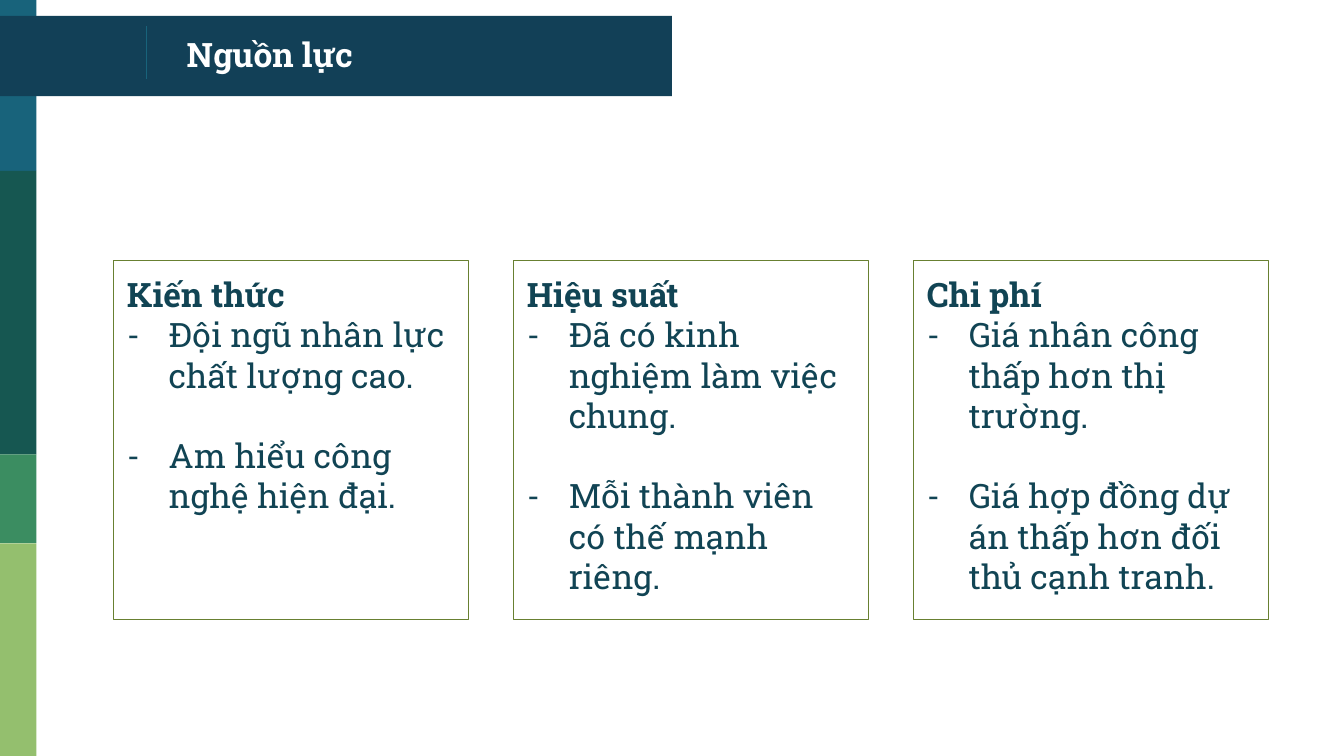
from pptx import Presentation
from pptx.dml.color import RGBColor
from pptx.enum.shapes import MSO_CONNECTOR as Connector, MSO_SHAPE as Shape
from pptx.enum.text import MSO_ANCHOR as Anchor
from pptx.oxml.ns import qn
from pptx.util import Cm, Pt
from lxml.etree import SubElement

FONT = "Roboto Slab"
INK = "114454"
CARDS = [
    ("Kiến thức", ["Đội ngũ nhân lực chất lượng cao.", "Am hiểu công nghệ hiện đại."]),
    ("Hiệu suất", ["Đã có kinh nghiệm làm việc chung.", "Mỗi thành viên có thế mạnh riêng."]),
    ("Chi phí", ["Giá nhân công thấp hơn thị trường.", "Giá hợp đồng dự án thấp hơn đối thủ cạnh tranh."]),
]
BANDS = [("18637B", 3.23), ("165751", 5.36), ("3B8D61", 1.68), ("94BF6E", 4.02)]


def color(hex_code):
    """Turn a hex string into a colour."""
    return RGBColor.from_string(hex_code)


def add_block(slide, left, top, width, height, fill=None, outline=None):
    """Add a flat rectangle with an optional fill and outline."""
    block = slide.shapes.add_shape(Shape.RECTANGLE, Cm(left), Cm(top), Cm(width), Cm(height))
    block.shadow.inherit = False
    if fill:
        block.fill.solid()
        block.fill.fore_color.rgb = color(fill)
    else:
        block.fill.background()
    if outline:
        block.line.color.rgb = color(outline)
        block.line.width = Pt(0.75)
    else:
        block.line.fill.background()
    return block


def set_frame(frame, anchor):
    """Give a text frame wrapping, even insets and an anchor."""
    frame.word_wrap = True
    frame.vertical_anchor = anchor
    frame.margin_left = frame.margin_right = Cm(0.25)
    frame.margin_top = frame.margin_bottom = Cm(0.25)


def write(paragraph, text, hex_code, bold=False):
    """Fill a paragraph with left-aligned text in the slide font."""
    paragraph.text = text
    paragraph.alignment = 1
    for run in paragraph.runs:
        run.font.name = FONT
        run.font.size = Pt(18)
        run.font.bold = bold
        run.font.color.rgb = color(hex_code)


def add_dash(paragraph):
    """Give a paragraph a hanging dash bullet."""
    properties = paragraph._p.get_or_add_pPr()
    properties.set("marL", str(Cm(0.79)))
    properties.set("indent", str(-Cm(0.79)))
    bullet_color = SubElement(properties, qn("a:buClr"))
    SubElement(bullet_color, qn("a:srgbClr"), val=INK)
    SubElement(properties, qn("a:buFont"), typeface=FONT)
    SubElement(properties, qn("a:buChar"), char="-")


def add_side_strip(slide, left, top, width):
    """Stack the coloured bands down the slide's edge."""
    for fill, height in BANDS:
        add_block(slide, left, top, width, height, fill)
        top += height


def add_title_bar(slide, left, top, width, height, title):
    """Add the title bar with its divider and title."""
    add_block(slide, left, top, width, height, "124057")
    divider_x = Cm(left + 2.77)
    divider = slide.shapes.add_connector(
        Connector.STRAIGHT, divider_x, Cm(top + 0.2), divider_x, Cm(top + 1.2))
    divider.line.color.rgb = color("18637B")
    divider.line.width = Pt(0.75)
    SubElement(divider._element.spPr, qn("a:effectLst"))
    heading = slide.shapes.add_textbox(
        Cm(left + 3.28), Cm(top + 0.13), Cm(8.92), Cm(1.17)).text_frame
    set_frame(heading, Anchor.MIDDLE)
    write(heading.paragraphs[0], title, "FFFFFF", bold=True)


def add_card(slide, left, top, width, height, heading, points):
    """Add an outlined card with a heading and dashed points."""
    frame = add_block(slide, left, top, width, height, outline="688031").text_frame
    set_frame(frame, Anchor.TOP)
    write(frame.paragraphs[0], heading, INK, bold=True)
    for index, point in enumerate(points):
        paragraph = frame.add_paragraph()
        write(paragraph, point, INK)
        paragraph.space_before = Pt(21.5 * index)
        add_dash(paragraph)


def add_cards(slide, left, top, width, height, gap):
    """Lay the cards out in a row."""
    for index, (heading, points) in enumerate(CARDS):
        add_card(slide, left + index * (width + gap), top, width, height, heading, points)


def main():
    """Build and save the slide."""
    deck = Presentation()
    deck.slide_width, deck.slide_height = Cm(25.4), Cm(14.29)
    slide = deck.slides.add_slide(deck.slide_layouts[6])
    add_side_strip(slide, 0, 0, 0.69)
    add_title_bar(slide, 0, 0.3, 12.7, 1.52, "Nguồn lực")
    add_cards(slide, 2.15, 4.93, 6.71, 6.78, 0.85)
    deck.save("out.pptx")


if __name__ == "__main__":
    main()
